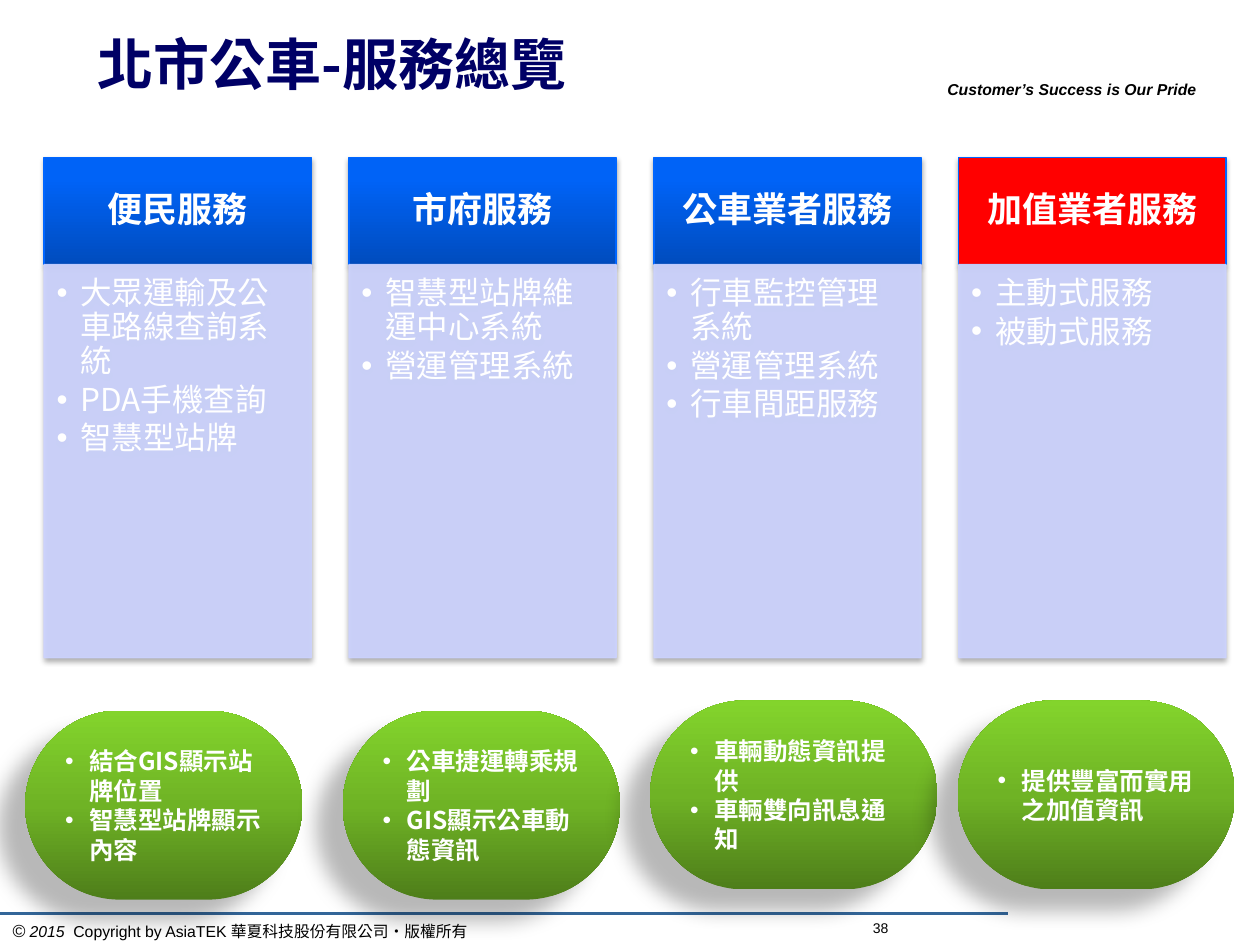
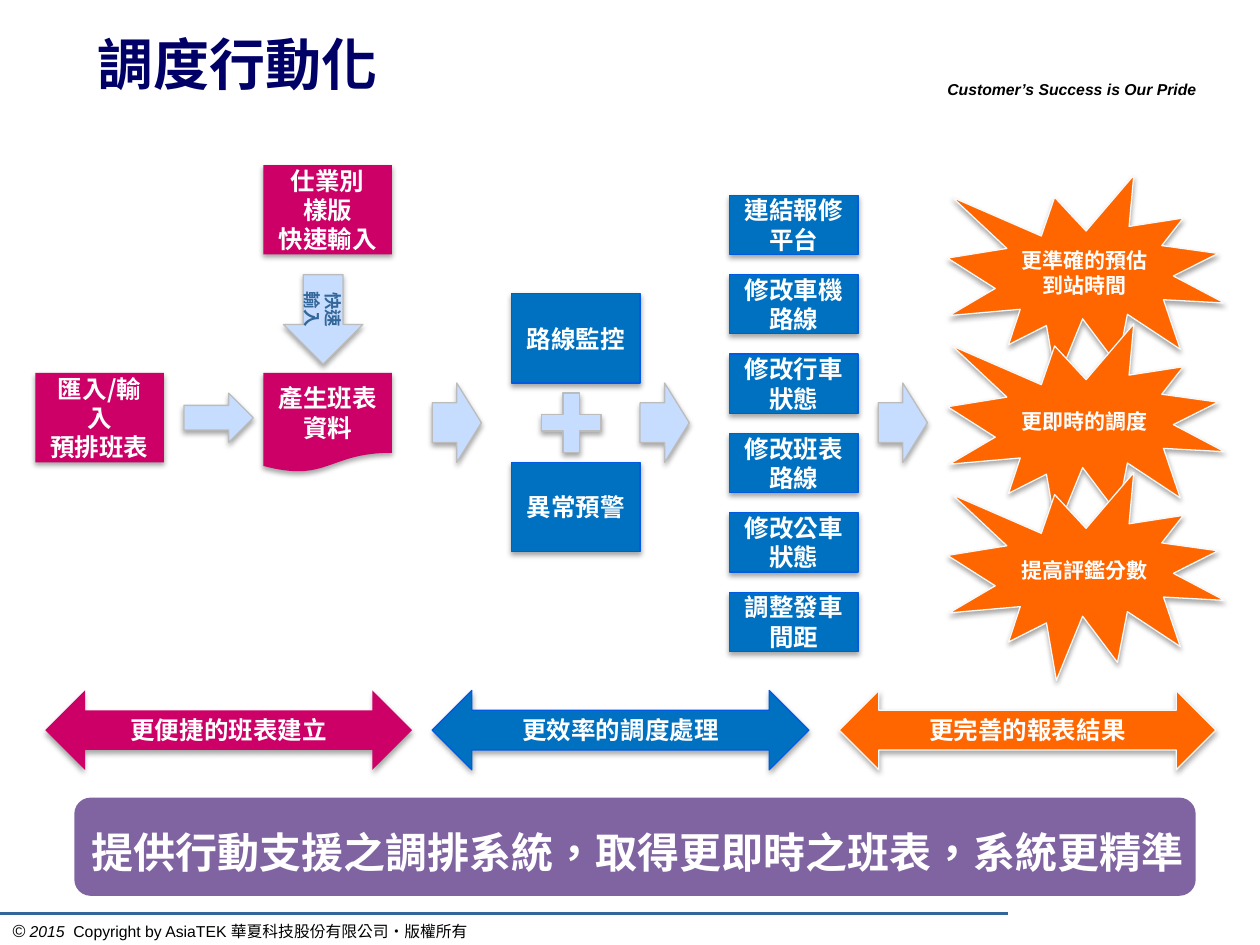
from dataclasses import dataclass

from lxml import etree
from pptx import Presentation
from pptx import util as u
from pptx.dml import color
from pptx.enum import shapes, text
from pptx.oxml import ns

SHAPE = shapes.MSO_SHAPE
ALIGN = text.PP_ALIGN
ANCHOR = text.MSO_ANCHOR
CELL = 2 / 25.4  # grid step: 2 mm in inches


@dataclass(frozen=True)
class Theme:
    sans: str = "Arial"
    cjk: str = "Noto Sans CJK SC"
    black: str = "000000"
    white: str = "FFFFFF"
    navy: str = "000066"
    steel: str = "336699"
    royal: str = "0066FF"
    red: str = "FF0000"
    lavender: str = "CCD3FF"
    purple: str = "8064A2"
    header_gradient: tuple = ((0, "004CBE"), (80, "0063F7"), (100, "0063F8"))
    pill_gradient: tuple = ((0, "4E7E1A"), (50, "6FB325"), (100, "83D42C"))
    title: int = 32
    banner: int = 24
    header: int = 20
    body: int = 18
    label: int = 14
    seal: int = 12
    small: int = 10
    footer: int = 9
    number: int = 8


THEME = Theme()
# Shadows: opacity %, blur pt, distance pt, direction in degrees
SOFT = (35, 3.1, 1.8, 90)
DEEP = (28, 11.8, 19.7, 141)
MAGENTA = {"fill": "CC0066", "shadow": SOFT}
BLUE = {"fill": "0070C0", "line": "005AE2", "shadow": SOFT}
ORANGE = {"fill": "FF6600", "line": "F9F9F9", "shadow": SOFT}
PALE = {"fill": "C7DDFF", "line": "BCBCBC", "shadow": SOFT}


def set_all(target, values):
    for name, value in values.items():
        setattr(target, name, value)


def child(parent, tag, **attributes):
    element = etree.SubElement(parent, ns.qn(tag))
    for name, value in attributes.items():
        element.set(name, str(value))
    return element


def grid_box(origin, column, row, columns, rows):
    """Turn grid cells counted from an origin into an inch box."""
    left, top = origin
    return left + column * CELL, top + row * CELL, columns * CELL, rows * CELL


def inches(box):
    return [u.Inches(round(value, 2)) for value in box]


def add_run(paragraph, words, size, tint=THEME.white, font=THEME.cjk, **style):
    run = paragraph.add_run()
    run.text = words
    set_all(run.font, {"size": u.Pt(size), "name": font, **style})
    run.font.color.rgb = color.RGBColor.from_string(tint)
    properties = run.font._element
    properties.set("lang", "zh-TW")
    child(properties, "a:ea", typeface=THEME.cjk)


def write(shape, lines, size, align=ALIGN.CENTER, anchor=ANCHOR.MIDDLE, insets=None,
          indent=0, bullet=False, spacing=None, wrap=True, **style):
    frame = shape.text_frame
    set_all(frame, {"word_wrap": wrap, "vertical_anchor": anchor,
                    "auto_size": text.MSO_AUTO_SIZE.NONE})
    if insets:
        names = ("margin_left", "margin_top", "margin_right", "margin_bottom")
        set_all(frame, dict(zip(names, inches(insets))))
    for index, line in enumerate(lines):
        paragraph = frame.add_paragraph() if index else frame.paragraphs[0]
        set_all(paragraph, {"alignment": align, **(spacing or {})})
        if indent:
            properties = paragraph._p.get_or_add_pPr()
            properties.set("marL", str(u.Inches(indent)))
            properties.set("indent", str(-u.Inches(indent)))
            if bullet:
                child(properties, "a:buFont", typeface=THEME.sans)
                child(properties, "a:buChar", char="•")
        add_run(paragraph, line, size, **style)


def paint_gradient(shape, stops):
    shape.fill.gradient()
    shape.fill.gradient_angle = 90
    stop_list = shape._element.spPr.find(".//" + ns.qn("a:gsLst"))
    for stop in list(stop_list):
        stop_list.remove(stop)
    for position, tint in stops:
        child(child(stop_list, "a:gs", pos=position * 1000), "a:srgbClr", val=tint)


def add_shadow(shape, opacity, blur, distance, direction):
    effects = shape._element.spPr.find(ns.qn("a:effectLst"))
    shadow = child(effects, "a:outerShdw", blurRad=u.Pt(blur), dist=u.Pt(distance),
                   dir=direction * 60000, algn="ctr", rotWithShape=0)
    child(child(shadow, "a:srgbClr", val=THEME.black), "a:alpha", val=opacity * 1000)


def add_block(slide, kind, box, fill, line=None, shadow=None, opacity=100):
    shape = slide.shapes.add_shape(kind, *inches(box))
    shape.shadow.inherit = False
    if isinstance(fill, tuple):
        paint_gradient(shape, fill)
    else:
        shape.fill.solid()
        shape.fill.fore_color.rgb = color.RGBColor.from_string(fill)
    if line:
        shape.line.color.rgb = color.RGBColor.from_string(line)
        shape.line.width = u.Pt(0.75)
    else:
        shape.line.fill.background()
    if opacity < 100:
        for tint in shape._element.spPr.iter(ns.qn("a:srgbClr")):
            child(tint, "a:alpha", val=opacity * 1000)
    if shadow:
        add_shadow(shape, *shadow)
    return shape


def add_textbox(slide, box, lines, size, **style):
    shape = slide.shapes.add_textbox(*inches(box))
    write(shape, lines, size, ALIGN.LEFT, ANCHOR.TOP, tint=THEME.black,
          font=THEME.sans, **style)
    return shape


def add_frame(presentation, title):
    """Add a slide with the shared title, tagline, rule and copyright line."""
    slide = presentation.slides.add_slide(presentation.slide_layouts[5])
    placeholder = slide.shapes.title
    set_all(placeholder, dict(zip(("left", "top", "width", "height"),
                                  inches((0.67, 0.25, 6.08, 0.5)))))
    write(placeholder, [title], THEME.title, ALIGN.LEFT, tint=THEME.navy, bold=True)
    add_textbox(slide, (7.42, 0.58, 2.33, 0.25), ["Customer’s Success is Our Pride"],
                THEME.footer, bold=True, italic=True)
    rule = slide.shapes.add_connector(shapes.MSO_CONNECTOR.STRAIGHT,
                                      *inches((0, 7.25, 8, 7.25)))
    rule.line.color.rgb = color.RGBColor.from_string(THEME.steel)
    rule.line.width = u.Pt(2.25)
    child(rule._element.spPr, "a:effectLst")
    notice = add_textbox(slide, (0, 7.25, 4.33, 0.27), ["©"], THEME.small, italic=True)
    for words, italic in ((" 2015 ", True),
                          (" Copyright by AsiaTEK 華夏科技股份有限公司‧版權所有", False)):
        add_run(notice.text_frame.paragraphs[0], words, THEME.footer, THEME.black,
                THEME.sans, italic=italic)
    return slide


def add_service_columns(slide, box, services):
    left, top, width, height = box
    column_width = 0.226 * width
    pitch = (width - column_width) / (len(services) - 1)
    header_height = 0.215 * height
    for index, (name, fill, items) in enumerate(services):
        x = left + index * pitch
        header = add_block(slide, SHAPE.RECTANGLE, (x, top, column_width, header_height),
                           fill, THEME.royal, SOFT)
        write(header, [name], THEME.header, insets=(0.16, 0.09, 0.16, 0.09),
              spacing={"line_spacing": 0.9}, bold=True)
        body = add_block(slide, SHAPE.RECTANGLE,
                         (x, top + header_height, column_width, height - header_height),
                         THEME.lavender, THEME.lavender, SOFT, opacity=90)
        write(body, items, THEME.body, ALIGN.LEFT, ANCHOR.TOP, (0.1, 0.1, 0.14, 0.16),
              indent=0.19, bullet=True,
              spacing={"line_spacing": 0.9, "space_after": u.Pt(2.7)})


def add_benefit_pills(slide, origin, benefits):
    for column, row, columns, items in benefits:
        pill = add_block(slide, SHAPE.ROUNDED_RECTANGLE,
                         grid_box(origin, column, row, columns, 19),
                         THEME.pill_gradient, shadow=DEEP)
        pill.adjustments[0] = 0.5
        write(pill, items, THEME.label, ALIGN.LEFT, indent=0.19, bullet=True, bold=True)


def build_overview(presentation):
    slide = add_frame(presentation, "北市公車-服務總覽")
    add_textbox(slide, (6.83, 7.25, 2.08, 0.17), ["38"], THEME.number)
    blue = THEME.header_gradient
    add_service_columns(slide, (0.355, 1.25, 9.37, 3.97), (
        ("便民服務", blue, ("大眾運輸及公車路線查詢系統", "PDA手機查詢", "智慧型站牌")),
        ("市府服務", blue, ("智慧型站牌維運中心系統", "營運管理系統")),
        ("公車業者服務", blue, ("行車監控管理系統", "營運管理系統", "行車間距服務")),
        ("加值業者服務", THEME.red, ("主動式服務", "被動式服務")),
    ))
    add_benefit_pills(slide, (0.2, 5.56), (
        (0, 1, 28, ("結合GIS顯示站牌位置", "智慧型站牌顯示內容")),
        (32, 1, 28, ("公車捷運轉乘規劃", "GIS顯示公車動態資訊")),
        (63, 0, 29, ("車輛動態資訊提供", "車輛雙向訊息通知")),
        (94, 0, 28, ("提供豐富而實用之加值資訊",)),
    ))


def add_flow(slide, origin):
    """Draw the dispatch flow from timetable input to results."""
    def step(kind, cells, look, lines=(), size=THEME.label):
        shape = add_block(slide, kind, grid_box(origin, *cells), **look)
        if lines:
            write(shape, lines, size, bold=True)
        return shape

    step(SHAPE.RECTANGLE, (0, 21, 13, 9), MAGENTA, ("匯入/輸入", "預排班表"))
    step(SHAPE.RECTANGLE, (23, 0, 13, 9), MAGENTA, ("仕業別", "樣版", "快速輸入"))
    step(SHAPE.FLOWCHART_DOCUMENT, (23, 21, 13, 10), MAGENTA, ("產生班表資料",))
    quick_input = add_block(slide, SHAPE.RIGHT_ARROW,
                            grid_box(origin, 24.5, 11.5, 9, 8), **PALE)
    quick_input.rotation = 90
    write(quick_input, ["快速輸入"], THEME.small, tint=THEME.steel, bold=True)
    step(SHAPE.RECTANGLE, (48, 13, 13, 9), BLUE, ("路線監控",))
    step(SHAPE.RECTANGLE, (48, 30, 13, 9), BLUE, ("異常預警",))
    step(SHAPE.CROSS, (51, 23, 6, 6), PALE).adjustments[0] = 0.357
    step(SHAPE.RIGHT_ARROW, (15, 23, 7, 5), PALE)
    for column in (40, 61, 85):
        step(SHAPE.RIGHT_ARROW, (column, 22, 5, 8), PALE)
    actions = ("連結報修平台", "修改車機路線", "修改行車狀態",
               "修改班表路線", "修改公車狀態", "調整發車間距")
    for index, action in enumerate(actions):
        step(SHAPE.RECTANGLE, (70, 3 + 8 * index, 13, 6), BLUE, (action,))
    results = ("更準確的預估到站時間", "更即時的調度", "提高評鑑分數")
    for index, result in enumerate(results):
        step(SHAPE.EXPLOSION1, (92, 1 + 15 * index, 28, 21), ORANGE, (result,), THEME.seal)
    for column, columns, look, stage in ((1, 37, MAGENTA, "更便捷的班表建立"),
                                         (40, 38, BLUE, "更效率的調度處理"),
                                         (81, 38, ORANGE, "更完善的報表結果")):
        step(SHAPE.LEFT_RIGHT_ARROW, (column, 53, columns, 8), look, (stage,))


def add_banner(slide, box, words):
    banner = add_block(slide, SHAPE.ROUNDED_RECTANGLE, box, THEME.purple)
    write(banner, [words], THEME.banner, ALIGN.LEFT, indent=0.5, wrap=False,
          spacing={"line_spacing": 1.2}, bold=True)


def build_mobile_dispatch(presentation):
    slide = add_frame(presentation, "調度行動化")
    add_banner(slide, (0.59, 6.33, 8.9, 0.78),
               "提供行動支援之調排系統，取得更即時之班表，系統更精準")
    add_flow(slide, (0.28, 1.31))


def main():
    presentation = Presentation()
    set_all(presentation, {"slide_width": u.Inches(10), "slide_height": u.Inches(7.5)})
    build_overview(presentation)
    build_mobile_dispatch(presentation)
    presentation.save("out.pptx")


if __name__ == "__main__":
    main()
